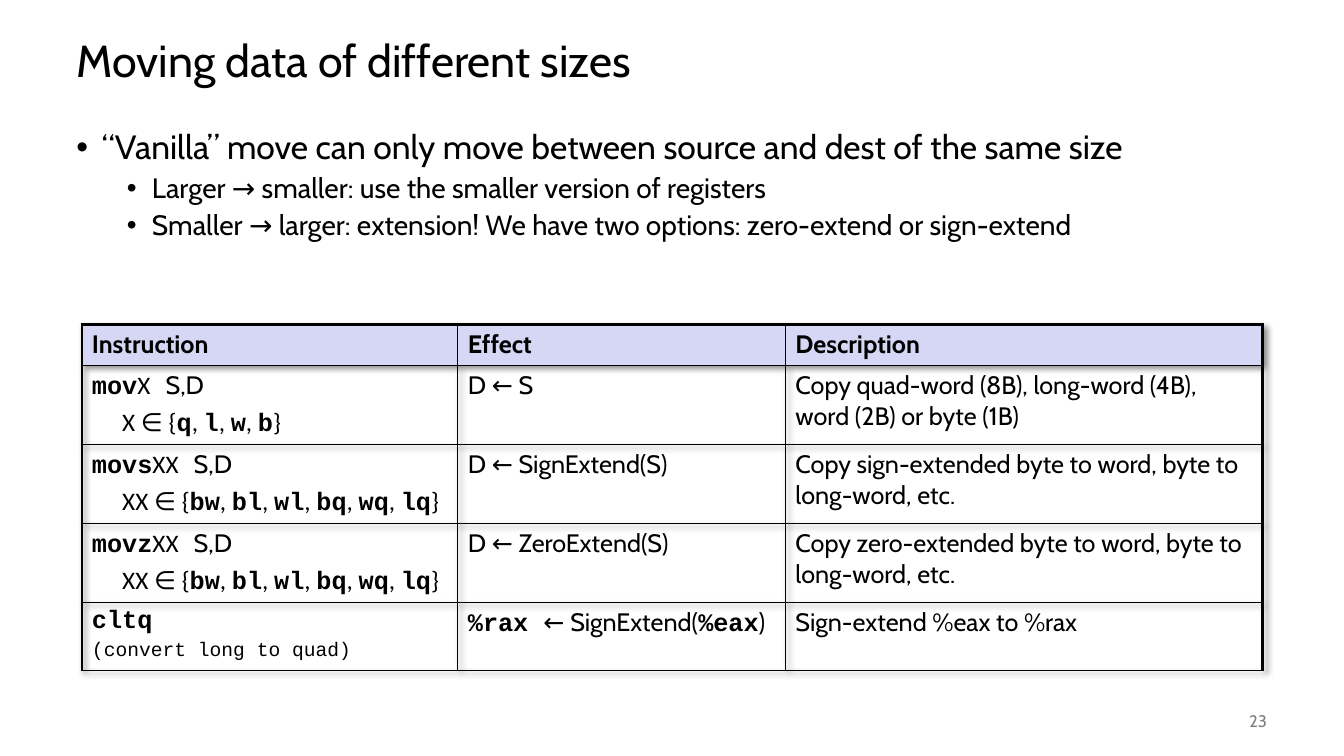
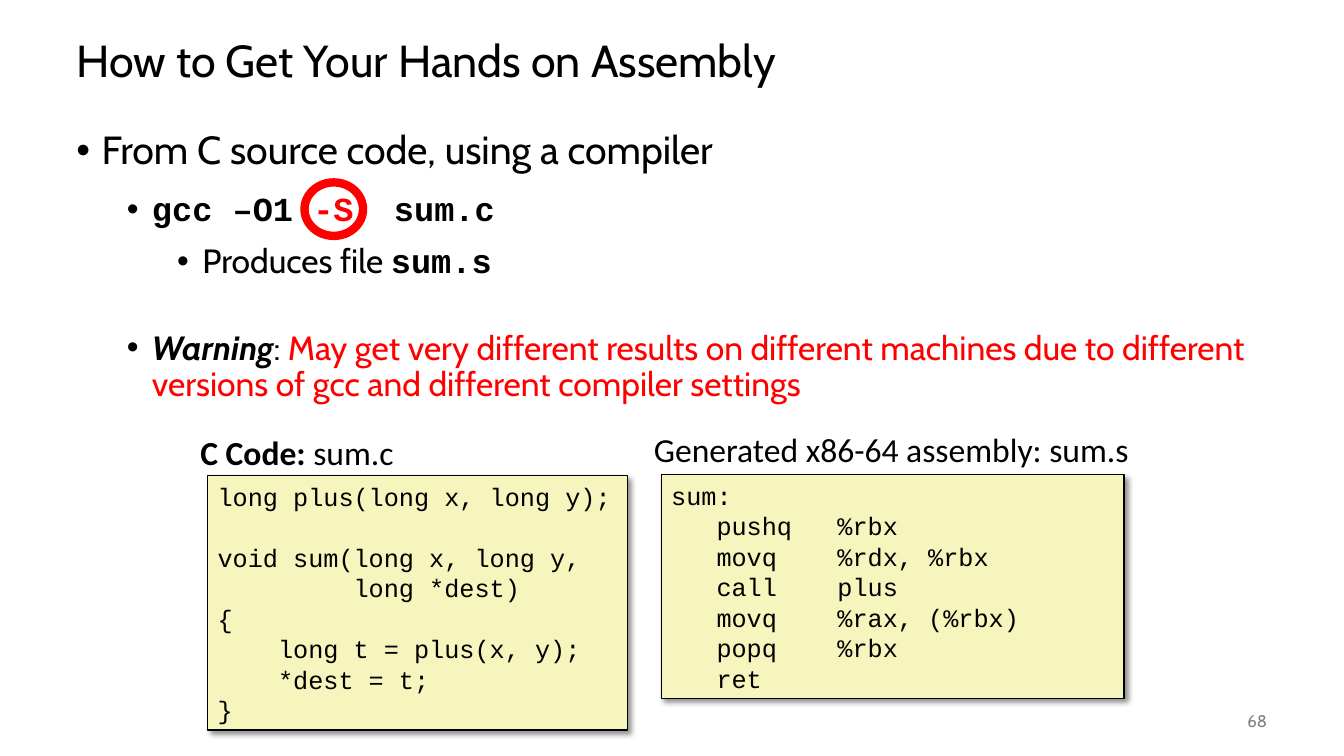
from lxml import etree
from pptx import Presentation
from pptx.dml.color import RGBColor
from pptx.enum.shapes import MSO_SHAPE
from pptx.enum.text import MSO_ANCHOR, PP_ALIGN
from pptx.oxml.ns import qn
from pptx.util import Pt

RECT, OVAL = MSO_SHAPE.RECTANGLE, MSO_SHAPE.OVAL
TOP, MIDDLE = MSO_ANCHOR.TOP, MSO_ANCHOR.MIDDLE
LEFT, RIGHT = PP_ALIGN.LEFT, PP_ALIGN.RIGHT

HUES = {"ink": "000000", "red": "FF0000", "gray": "808080",
        "head": "D6D6F5", "code": "F6F5BD"}
SANS, PLAIN, MONO = "Cabin", "Calibri", "Courier New"
THIN, THICK = 1, 2.25

CODE_C = """long plus(long x, long y);

void sum(long x, long y,
         long *dest)
{
    long t = plus(x, y);
    *dest = t;
}"""
CODE_S = """sum:
   pushq   %rbx
   movq    %rdx, %rbx
   call    plus
   movq    %rax, (%rbx)
   popq    %rbx
   ret"""


def hue(name):
    return RGBColor.from_string(HUES[name])


def node(parent, tag, spot=None, **attrs):
    item = etree.Element(qn(tag), attrs)
    parent.insert(len(parent) if spot is None else spot, item)
    return item


def units(points):
    return str(int(Pt(points)))


def style(font, size=None, name=None, color=None, bold=None, italic=None):
    if size:
        font.size = Pt(size)
    if name:
        font.name = name
    if color:
        font.color.rgb = hue(color)
    if bold is not None:
        font.bold = bold
    if italic is not None:
        font.italic = italic


def write(para, parts, size, name=SANS, color="ink", bold=None):
    style(para.font, size, name, color, bold)
    if isinstance(parts, str):
        para.text = parts
        return
    for text, look in parts:
        run = para.add_run()
        run.text = text
        style(run.font, **look)


def shade(parent, spot=None):
    glow = node(node(parent, "a:effectLst", spot), "a:outerShdw",
                blurRad=units(4), dist=units(3), dir="2700000",
                algn="tl", rotWithShape="0")
    tint = node(glow, "a:srgbClr", val=HUES["ink"])
    node(tint, "a:alpha", val="43000")


def label(slide, box, parts, size, name=SANS, color="ink",
          anchor=TOP, align=LEFT, leading=None):
    frame = slide.shapes.add_textbox(*map(Pt, box)).text_frame
    frame.word_wrap = True
    frame.vertical_anchor = anchor
    para = frame.paragraphs[0]
    para.alignment = align
    para.line_spacing = leading
    write(para, parts, size, name, color)


def page(deck, title, number):
    slide = deck.slides.add_slide(deck.slide_layouts[6])
    label(slide, (47.5, 18, 864, 54), title, 32, anchor=MIDDLE, leading=0.9)
    label(slide, (840.25, 500.4, 72, 28.8), number, 12, color="gray",
          anchor=MIDDLE, align=RIGHT)
    return slide


def points(slide, box, items):
    frame = slide.shapes.add_textbox(*map(Pt, box)).text_frame
    frame.word_wrap = True
    for i, (level, before, size, parts) in enumerate(items):
        para = frame.add_paragraph() if i else frame.paragraphs[0]
        para.line_spacing = 0.9
        para.space_before = Pt(before)
        props = para._p.get_or_add_pPr()
        props.set("marL", units(18 + 36 * level))
        props.set("indent", units(-18))
        node(props, "a:buFont", typeface="Arial")
        node(props, "a:buChar", char="•")
        write(para, parts, size)


def edge(cell, sides):
    props = cell._tc.get_or_add_tcPr()
    for spot, (side, width) in enumerate(zip("LRTB", sides)):
        line = node(props, "a:ln" + side, spot, w=units(width))
        fill = node(line, "a:solidFill")
        node(fill, "a:srgbClr", val=HUES["ink"])


def grid(slide, box, widths, heights, rows):
    shape = slide.shapes.add_table(len(rows), len(widths), *map(Pt, box))
    table = shape.table
    table.first_row = table.horz_banding = False
    shade(table._tbl.tblPr, 0)
    for col, width in zip(table.columns, widths):
        col.width = Pt(width)
    for r, (row, height) in enumerate(zip(rows, heights)):
        table.rows[r].height = Pt(height)
        for c, lines in enumerate(row):
            cell = table.cell(r, c)
            if r:
                cell.fill.background()
            else:
                cell.fill.solid()
                cell.fill.fore_color.rgb = hue("head")
            edge(cell, (THIN if c else THICK,
                        THICK if c == len(widths) - 1 else THIN,
                        THIN if r else THICK, THIN))
            for i, (parts, size, inset) in enumerate(lines):
                frame = cell.text_frame
                para = frame.add_paragraph() if i else frame.paragraphs[0]
                if i:
                    para.space_before = Pt(size / 5)
                para._p.get_or_add_pPr().set("marL", units(inset))
                write(para, parts, size, bold=r == 0)


def code(slide, box, text):
    shape = slide.shapes.add_shape(RECT, *map(Pt, box))
    shape.fill.solid()
    shape.fill.fore_color.rgb = hue("code")
    shape.line.color.rgb = hue("ink")
    shape.line.width = Pt(1)
    shade(shape._element.spPr)
    frame = shape.text_frame
    frame.word_wrap = True
    frame.vertical_anchor = TOP
    para = frame.paragraphs[0]
    para.alignment = LEFT
    para.line_spacing = Pt(21.8)
    write(para, text, 18, MONO)


def ring(slide, box):
    shape = slide.shapes.add_shape(OVAL, *map(Pt, box))
    shape.shadow.inherit = False
    shape.fill.background()
    shape.line.color.rgb = hue("red")
    shape.line.width = Pt(6)


def mono(text):
    return text, {"name": MONO, "bold": True}


def plain(text):
    return text, {"name": PLAIN}


def sans(text):
    return text, {}


def line(parts, size=18, inset=0):
    return parts, size, inset


def move(stem, mark, sizes):
    head = [mono(stem), plain(mark), (" ", {"name": MONO}), sans("S,D")]
    tail = [plain(mark + " "), sans("∈"), plain(" {")]
    for i, size in enumerate(sizes):
        tail += ([plain(", ")] if i else []) + [mono(size)]
    return [line(head), line(tail + [plain("}")], inset=21.6)]


def sizes(deck):
    slide = page(deck, "Moving data of different sizes", "23")
    points(slide, (47.5, 90, 864, 424), [
        (0, 0, 24, "“Vanilla” move can only move between source and dest "
                   "of the same size"),
        (1, 5, 20, "Larger → smaller: use the smaller version of registers"),
        (1, 5, 20, "Smaller → larger: extension! We have two options: "
                   "zero-extend or sign-extend"),
    ])
    pairs = ("bw", "bl", "wl", "bq", "wq", "lq")
    rows = [[[line(t)] for t in ("Instruction", "Effect", "Description")],
            [move("mov", "X", "qlwb"), [line("D ← S")],
             [line("Copy quad-word (8B), long-word (4B), "
                   "word (2B) or byte (1B)")]]]
    for stem, kind in (("movs", "Sign"), ("movz", "Zero")):
        rows.append([move(stem, "XX", pairs),
                     [line(f"D ← {kind}Extend(S)")],
                     [line(f"Copy {kind.lower()}-extended byte to word, "
                           "byte to long-word, etc.")]])
    note = [("(convert long to quad)", {"name": MONO})]
    rows.append([[line([mono("cltq")]), line(note, 14)],
                 [line([mono("%rax "), sans("← SignExtend("),
                        mono("%eax"), sans(")")])],
                 [line("Sign-extend %eax to %rax")]])
    grid(slide, (58.5, 231.8, 843.5, 244.9), (268.5, 234, 341),
         (29.3, 56.4, 56.4, 56.4, 46.4), rows)


def hands(deck):
    slide = page(deck, "How to Get Your Hands on Assembly", "68")
    red = {"color": "red"}
    points(slide, (47.5, 90, 864, 214), [
        (0, 0, 28, "From C source code, using a compiler"),
        (1, 14, 24, [mono("gcc –O1 "),
                     ("-S  ", {"name": MONO, "bold": True, **red}),
                     mono("sum.c")]),
        (2, 11, 24, [sans("Produces file "), mono("sum.s")]),
        (1, 36, 24, [("Warning", {"bold": True, "italic": True}), sans(": "),
                     ("May get very different results on different machines "
                      "due to different versions of gcc and different "
                      "compiler settings", red)]),
    ])
    ring(slide, (217.5, 130.3, 41.8, 38.2))
    label(slide, (136, 305, 312, 29),
          [("C Code: ", {"bold": True}), sans("sum.c")], 24, PLAIN)
    code(slide, (148.3, 339.8, 300, 181.6), CODE_C)
    label(slide, (460, 302.5, 360, 32),
          "Generated x86-64 assembly: sum.s", 24, PLAIN)
    code(slide, (472.3, 339, 330.5, 159.8), CODE_S)


def main():
    deck = Presentation()
    deck.slide_width, deck.slide_height = Pt(960), Pt(540)
    sizes(deck)
    hands(deck)
    deck.save("out.pptx")


if __name__ == "__main__":
    main()
